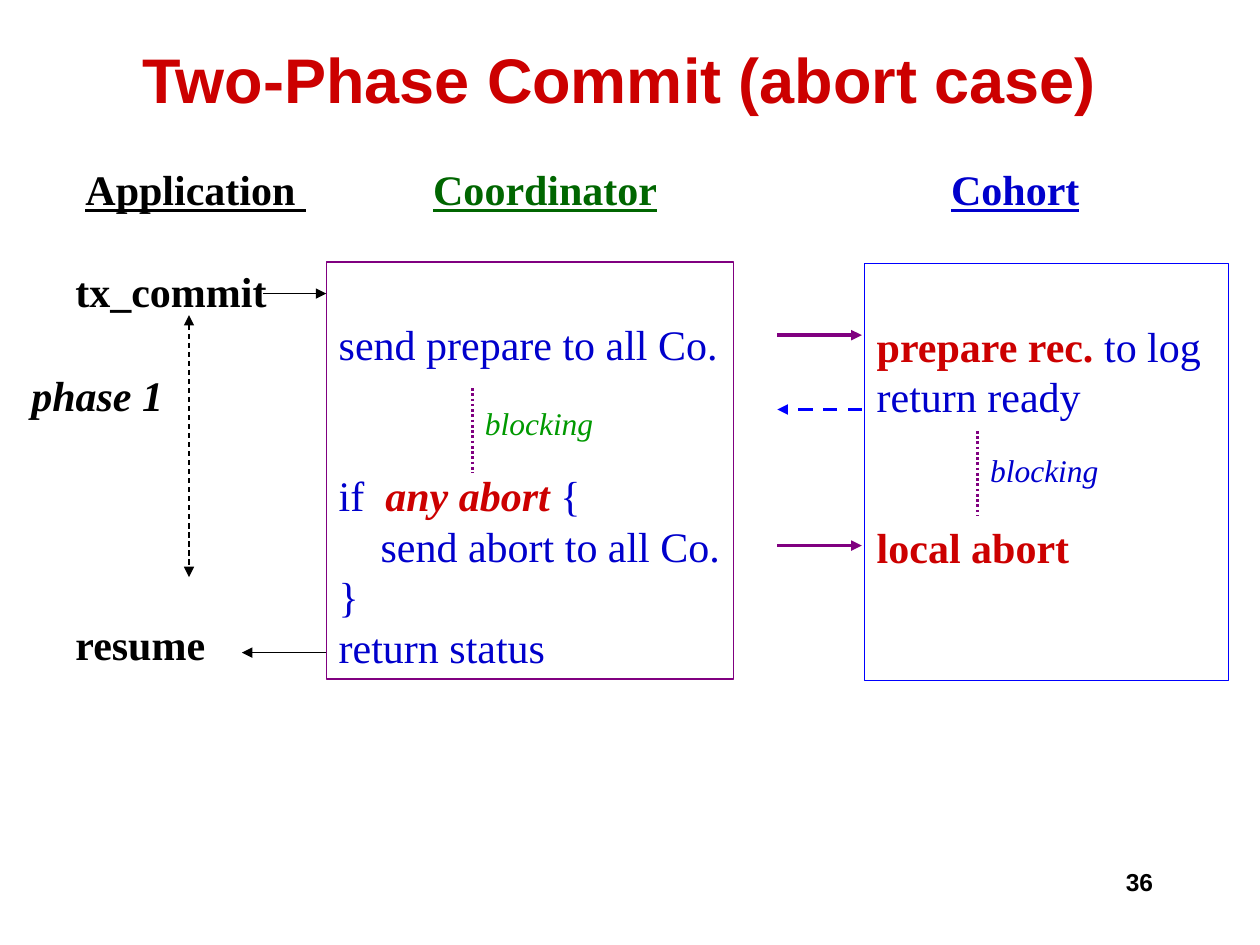
import dataclasses
import lxml.etree
import pptx
import pptx.dml.color
import pptx.enum.dml
import pptx.enum.shapes
import pptx.enum.text
import pptx.oxml.ns
import pptx.util

Inches = pptx.util.Inches
Pt = pptx.util.Pt
Align = pptx.enum.text.PP_ALIGN
Anchor = pptx.enum.text.MSO_ANCHOR
Dash = pptx.enum.dml.MSO_LINE
qn = pptx.oxml.ns.qn


@dataclasses.dataclass(frozen=True)
class Theme:
    serif: str = "Times New Roman"
    sans: str = "Arial"
    black: str = "000000"
    white: str = "FFFFFF"
    red: str = "CC0000"
    navy: str = "0000CC"
    blue: str = "0000FF"
    plum: str = "800080"
    green: str = "006600"
    lime: str = "009900"
    head: int = 36
    code: int = 24
    note: int = 18
    page: int = 14
    lead: float = 1.2
    thin: float = 0.75
    dots: float = 1.5
    bold: float = 2


def tint(code):
    return pptx.dml.color.RGBColor.from_string(code)


class Deck:
    def __init__(self, theme):
        self.theme = theme
        self.file = pptx.Presentation()
        self.file.slide_width = Inches(10)
        self.file.slide_height = Inches(7.5)
        self.slide = self.file.slides.add_slide(self.file.slide_layouts[5])
        self.shapes = self.slide.shapes

    def place(self, shape, box):
        for key, val in zip(("left", "top", "width", "height"), box):
            setattr(shape, key, Inches(val))

    def words(self, shape, paras, size, right=0, top=0.05, anchor=Anchor.TOP, align=Align.LEFT):
        frame = shape.text_frame
        form = {
            "word_wrap": True,
            "vertical_anchor": anchor,
            "margin_left": Inches(0.1),
            "margin_right": Inches(right),
            "margin_top": Inches(top),
            "margin_bottom": Inches(0.05),
        }
        for key, val in form.items():
            setattr(frame, key, val)
        step = size * self.theme.lead
        for num, (runs, skip, tabs) in enumerate(paras):
            para = frame.add_paragraph() if num else frame.paragraphs[0]
            look = {"alignment": align, "line_spacing": Pt(step), "space_before": Pt(skip * step)}
            for key, val in look.items():
                setattr(para, key, val)
            if tabs:
                stops = lxml.etree.SubElement(para._p.get_or_add_pPr(), qn("a:tabLst"))
                for stop in tabs:
                    lxml.etree.SubElement(stops, qn("a:tab"), pos=str(Inches(stop)), algn="l")
            for text, color, form in runs:
                run = para.add_run()
                run.text = text
                base = {"name": self.theme.serif, "size": Pt(size), "bold": False}
                for key, val in {**base, **form}.items():
                    setattr(run.font, key, val)
                run.font.color.rgb = tint(color)

    def title(self, box, paras):
        shape = self.shapes.title
        self.place(shape, box)
        self.words(shape, paras, self.theme.head, 0.1, anchor=Anchor.MIDDLE, align=Align.CENTER)

    def label(self, box, paras, size, **form):
        shape = self.shapes.add_textbox(*map(Inches, box))
        self.words(shape, paras, size, **form)

    def panel(self, box, paras, edge, fill=None):
        kind = pptx.enum.shapes.MSO_SHAPE.RECTANGLE
        shape = self.shapes.add_shape(kind, *map(Inches, box))
        shape.shadow.inherit = False
        if fill:
            shape.fill.solid()
            shape.fill.fore_color.rgb = tint(fill)
        else:
            shape.fill.background()
        shape.line.color.rgb = tint(edge)
        shape.line.width = Pt(self.theme.thin)
        self.words(shape, paras, self.theme.code, top=0.45)

    def line(self, ends, color, width, dash=None, tips=("tailEnd",)):
        kind = pptx.enum.shapes.MSO_CONNECTOR.STRAIGHT
        line = self.shapes.add_connector(kind, *map(Inches, ends))
        line.line.color.rgb = tint(color)
        line.line.width = Pt(width)
        if dash:
            line.line.dash_style = dash
        props = line._element.spPr
        stroke = props.find(qn("a:ln"))
        for tip in tips:
            lxml.etree.SubElement(stroke, qn("a:" + tip), type="triangle")
        lxml.etree.SubElement(props, qn("a:effectLst"))

    def save(self):
        self.file.save("out.pptx")


def row(*runs, skip=0, tabs=()):
    return runs, skip, tabs


def main():
    look = Theme()
    deck = Deck(look)
    strong = {"bold": True}
    under = {"bold": True, "underline": True}
    slant = {"italic": True}
    both = {**strong, **slant}
    sans = {"name": look.sans, "bold": True}

    deck.label((7.17, 6.83, 2.08, 0.5), [row(("36", look.black, sans))], look.page,
               right=0.1, align=Align.RIGHT)
    deck.title((0.33, 0, 9.17, 1.25), [row(("Two-Phase Commit (abort case)", look.red, sans))])

    gap = ("\t", look.black, strong)
    deck.label((0.58, 1.25, 8.14, 0.51), [row(
        ("Application ", look.black, under), gap,
        ("Coordinator", look.green, under), gap,
        ("Cohort", look.navy, under), tabs=(2.76, 6.87))], look.code)
    deck.label((0.5, 2.06, 1.72, 3.7), [
        row(("tx_commit", look.black, strong)),
        row(("resume", look.black, strong), skip=6)], look.code)

    deck.panel((2.59, 2.08, 3.23, 3.31), [
        row(("send prepare to all Co.", look.navy, {})),
        row(("if\t", look.navy, {}), ("any abort ", look.red, both),
            ("{", look.navy, {}), skip=2, tabs=(0.37,)),
        row(("    send abort to all Co.", look.navy, {})),
        row(("}", look.navy, {})),
        row(("return status", look.navy, {}))], look.plum)
    deck.panel((6.86, 2.09, 2.89, 3.31), [
        row(("prepare rec.", look.red, strong), (" to log", look.navy, {})),
        row(("return ready", look.navy, {})),
        row(("local abort", look.red, strong), skip=2)], look.blue, look.white)

    deck.line((2.09, 2.33, 2.59, 2.33), look.black, look.thin)
    deck.line((1.5, 2.5, 1.5, 4.58), look.black, look.thin, Dash.DASH, ("headEnd", "tailEnd"))
    deck.label((0.15, 2.88, 1.26, 0.5), [row(("phase 1", look.black, both))], look.code)
    for high in (2.66, 4.33):
        deck.line((6.17, high, 6.84, high), look.plum, look.bold)
    deck.line((6.84, 3.25, 6.17, 3.25), look.blue, look.bold, Dash.DASH)
    deck.line((2.59, 5.18, 1.92, 5.18), look.black, look.thin)

    for left, top, drop, color in ((3.75, 3.08, 0.08, look.lime), (7.76, 3.42, 0.11, look.navy)):
        deck.line((left, top, left, top + 0.67), look.plum, look.dots, Dash.ROUND_DOT, ())
        deck.label((left, top + drop, 1.41, 0.4), [row(("blocking", color, slant))], look.note)
    deck.save()


if __name__ == "__main__":
    main()
